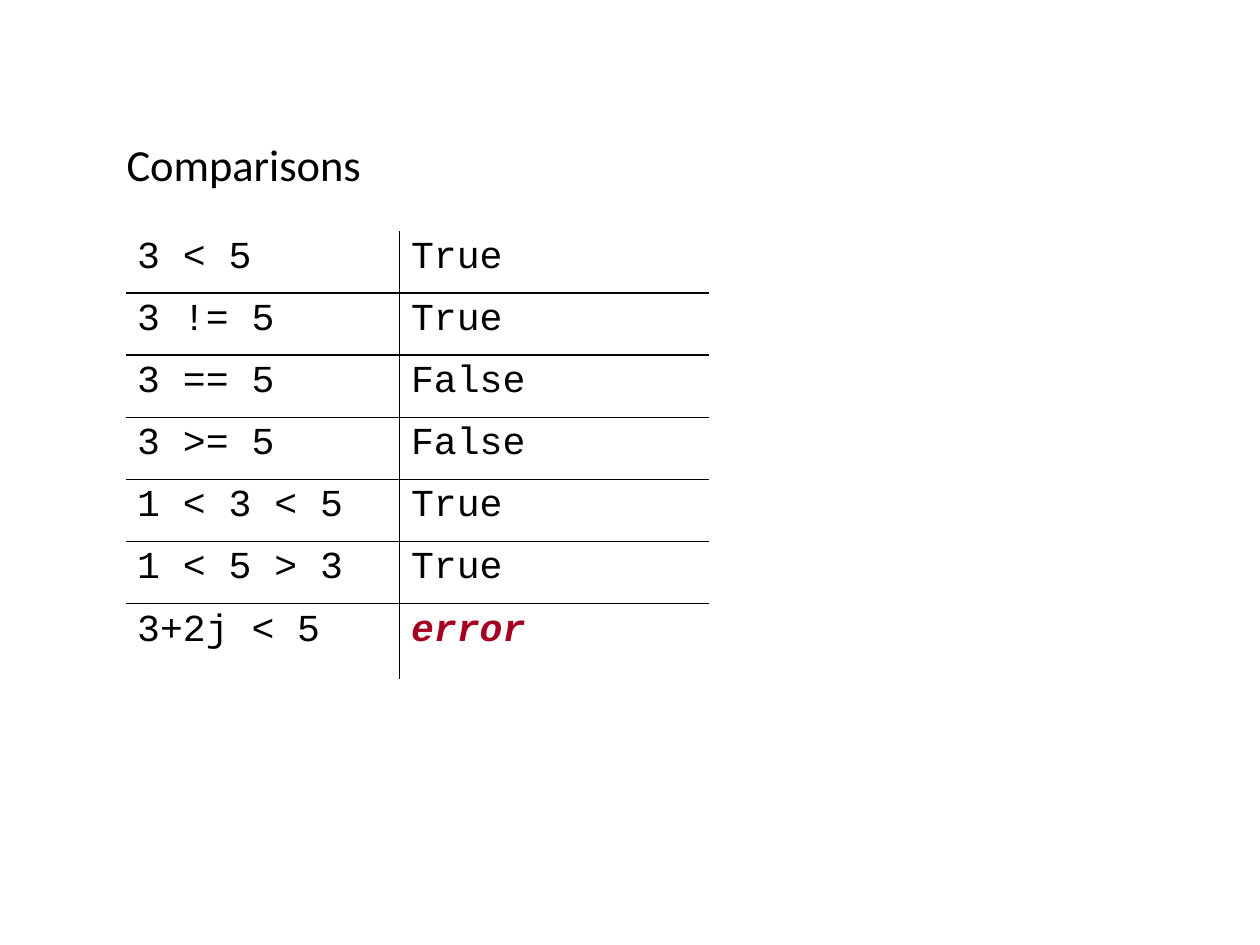
from pptx import Presentation
from pptx.dml.color import RGBColor
from pptx.enum.text import MSO_ANCHOR, MSO_AUTO_SIZE
from pptx.oxml import parse_xml
from pptx.oxml.ns import nsdecls
from pptx.util import Cm, Inches, Pt

TOP = MSO_ANCHOR.TOP
GROW = MSO_AUTO_SIZE.SHAPE_TO_FIT_TEXT
BLACK = RGBColor(0x00, 0x00, 0x00)
RED = RGBColor(0xA5, 0x00, 0x21)

TITLE_BOX = (1.01, 0.92, 2.27, 0.73)
TABLE_BOX = (1.1, 2.02, 5.1, 3.92)
COLUMN_SHARES = (0.47, 0.53)
LAST_ROW_HEIGHT = 0.66

TITLE_FONT = {"name": "Calibri", "size": Pt(28)}
CODE_FONT = {"name": "Courier New", "size": Pt(24)}
ERROR_FONT = {**CODE_FONT, "bold": True, "italic": True}
CELL_FORMAT = {"vertical_anchor": TOP, "margin_left": Inches(0.1),
               "margin_right": Inches(0.1), "margin_top": Inches(0.05),
               "margin_bottom": Inches(0.05)}

COMPARISONS = [
    ("3 < 5", "True"),
    ("3 != 5", "True"),
    ("3 == 5", "False"),
    ("3 >= 5", "False"),
    ("1 < 3 < 5", "True"),
    ("1 < 5 > 3", "True"),
    ("3+2j < 5", "error"),
]


def apply_format(target, values):
    for name, value in values.items():
        setattr(target, name, value)


def write_text(paragraph, text, font, color):
    run = paragraph.add_run()
    run.text = text
    apply_format(run.font, font)
    run.font.color.rgb = color


def set_borders(cell, sides):
    properties = cell._tc.get_or_add_tcPr()
    for position, side in enumerate(("L", "R", "T", "B")):
        if side in sides:
            paint = f'<a:solidFill><a:srgbClr val="{BLACK}"/></a:solidFill>'
        else:
            paint = "<a:noFill/>"
        border = parse_xml(
            f'<a:ln{side} {nsdecls("a")} w="{Pt(1)}">{paint}</a:ln{side}>')
        properties.insert(position, border)


def add_title(slide, box, text):
    shape = slide.shapes.add_textbox(*map(Inches, box))
    apply_format(shape.text_frame, {"word_wrap": False, "auto_size": GROW})
    paragraph = shape.text_frame.paragraphs[0]
    paragraph.line_spacing = 1.5
    indents = paragraph._p.get_or_add_pPr()
    indents.set("marL", str(Inches(0.5)))
    indents.set("indent", str(Inches(-0.5)))
    write_text(paragraph, text, TITLE_FONT, BLACK)


def add_comparison_table(slide, box, rows):
    left, top, width, height = box
    last_row = len(rows) - 1
    frame = slide.shapes.add_table(
        len(rows), len(COLUMN_SHARES), *map(Inches, box))
    table = frame.table
    apply_format(table, {"first_row": False, "horz_banding": False})
    for column, share in zip(table.columns, COLUMN_SHARES):
        column.width = Inches(width * share)
    for row_index, values in enumerate(rows):
        table.rows[row_index].height = Inches(
            LAST_ROW_HEIGHT if row_index == last_row
            else (height - LAST_ROW_HEIGHT) / last_row)
        for column_index, text in enumerate(values):
            cell = table.cell(row_index, column_index)
            apply_format(cell, CELL_FORMAT)
            cell.fill.background()
            sides = "R" if column_index == 0 else "L"
            sides += "T" if row_index > 0 else ""
            sides += "B" if row_index < last_row else ""
            set_borders(cell, sides)
            paragraph = cell.text_frame.paragraphs[0]
            apply_format(paragraph, {"line_spacing": 0.93, "space_after": Pt(14.2)})
            if text == "error":
                write_text(paragraph, text, ERROR_FONT, RED)
            else:
                write_text(paragraph, text, CODE_FONT, BLACK)


def main():
    presentation = Presentation()
    presentation.slide_width = Cm(28)
    presentation.slide_height = Cm(21)
    slide = presentation.slides.add_slide(presentation.slide_layouts[6])
    add_title(slide, TITLE_BOX, "Comparisons")
    add_comparison_table(slide, TABLE_BOX, COMPARISONS)
    presentation.save("out.pptx")


if __name__ == "__main__":
    main()
